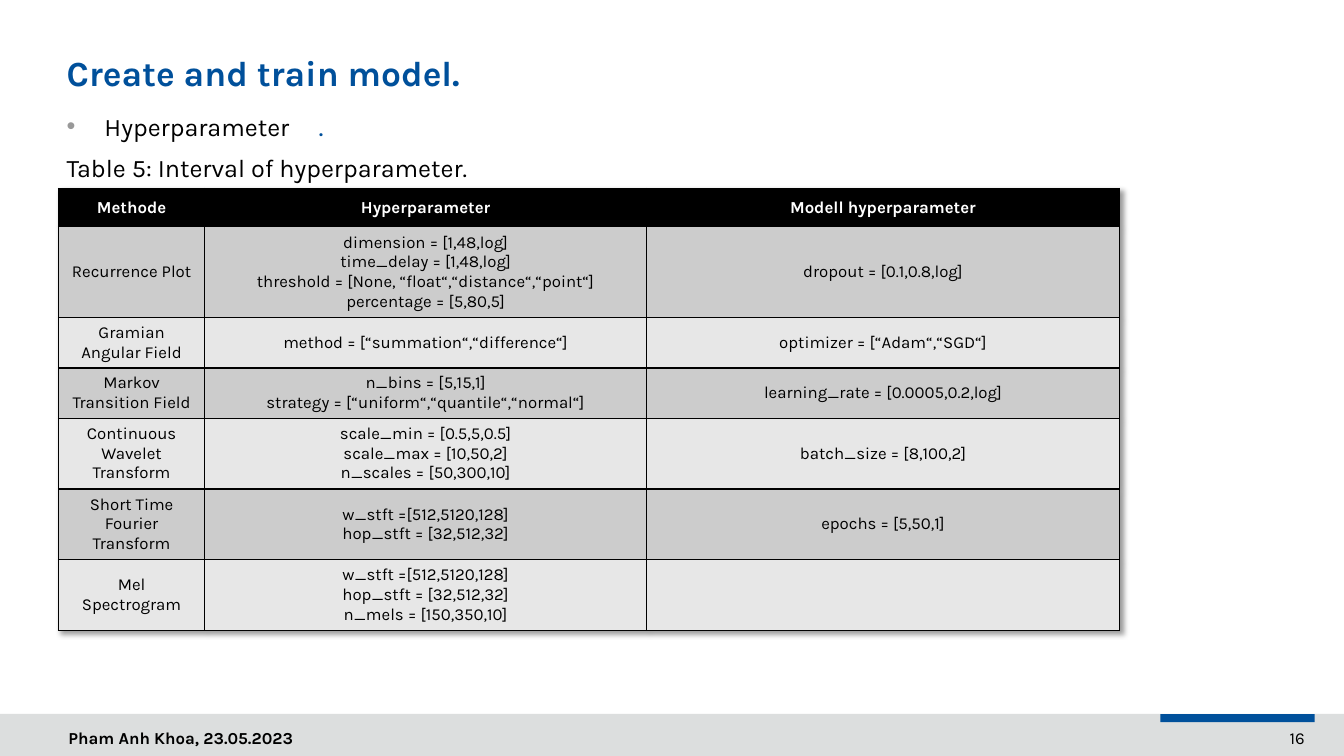
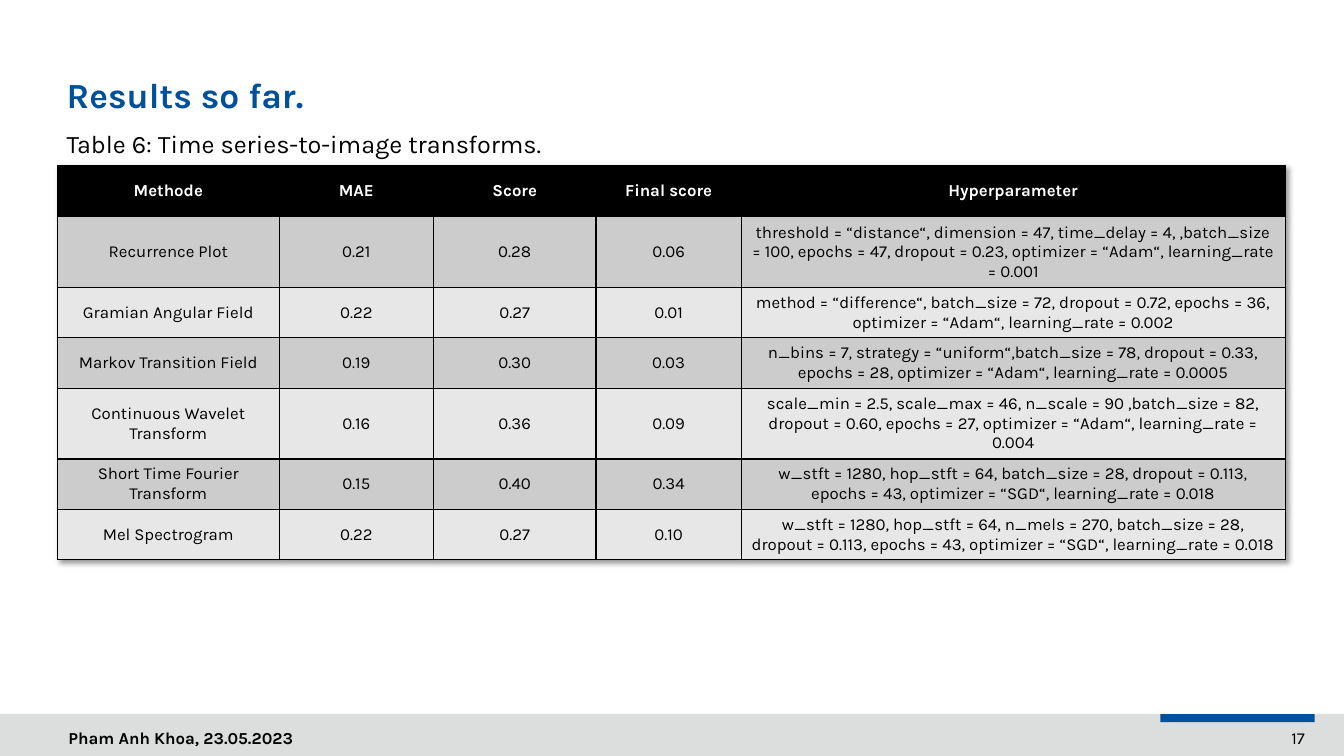
from dataclasses import dataclass

from lxml import etree
from pptx import Presentation
from pptx.dml.color import RGBColor
from pptx.enum.shapes import MSO_SHAPE
from pptx.enum.text import MSO_ANCHOR, MSO_AUTO_SIZE, PP_ALIGN
from pptx.oxml import parse_xml
from pptx.oxml.ns import qn
from pptx.slide import Slide
from pptx.table import _Cell
from pptx.text.text import TextFrame, _Paragraph, _Run
from pptx.util import Pt

RECTANGLE = MSO_SHAPE.RECTANGLE
MIDDLE, BOTTOM = MSO_ANCHOR.MIDDLE, MSO_ANCHOR.BOTTOM
LEFT, CENTER, RIGHT = PP_ALIGN.LEFT, PP_ALIGN.CENTER, PP_ALIGN.RIGHT
NO_AUTOFIT = MSO_AUTO_SIZE.NONE
DRAWING_NS = "http://schemas.openxmlformats.org/drawingml/2006/main"


@dataclass(frozen=True)
class Theme:
    font: str = "Karla"
    blue: str = "00509B"
    black: str = "000000"
    white: str = "FFFFFF"
    band: str = "DCDEDE"
    bullet: str = "999999"
    row_fills: tuple[str, str] = ("CCCCCC", "E7E7E7")
    title_size: float = 25.2
    body_size: float = 18
    dot_size: float = 20
    small_size: float = 12
    line_spacing: float = 0.9
    paragraph_gap: float = 10


THEME = Theme()
SLIDE_WIDTH, SLIDE_HEIGHT = 960, 540
MARGIN = 41.8
BODY_WIDTH = 852
BAND_TOP = 510
FOOTER_TOP, FOOTER_HEIGHT = 516.2, 23.8
FOOTER_RIGHT = 939
LINE_HEIGHT, CELL_PADDING = 14.03, 7.2
FOOTER = "Pham Anh Khoa, 23.05.2023"


@dataclass(frozen=True)
class Box:
    left: float
    top: float
    width: float
    height: float

    def lengths(self) -> tuple[Pt, Pt, Pt, Pt]:
        return Pt(self.left), Pt(self.top), Pt(self.width), Pt(self.height)


@dataclass(frozen=True)
class TableRow:
    lines: int
    texts: tuple[str, ...]


@dataclass(frozen=True)
class TableData:
    left: float
    top: float
    column_widths: tuple[float, ...]
    header_height: float
    header: tuple[str, ...]
    rows: tuple[TableRow, ...]


@dataclass(frozen=True)
class Page:
    number: int
    title: str
    title_top: float
    bullet: str
    caption: str
    body_top: float
    body_height: float
    table: TableData


PAGES = (
    Page(
        16, "Create and train model.", 39, "Hyperparameter",
        "Table 5: Interval of hyperparameter.", 76.3, 427,
        TableData(
            MARGIN, 134.6, (104.4, 315.7, 337.8), 27.4,
            ("Methode", "Hyperparameter", "Modell hyperparameter"),
            (
                TableRow(4, (
                    "Recurrence Plot",
                    "dimension = [1,48,log]\ntime_delay = [1,48,log]\n"
                    "threshold = [None, “float“,“distance“,“point“]\n"
                    "percentage = [5,80,5]",
                    "dropout = [0.1,0.8,log]")),
                TableRow(2, (
                    "Gramian Angular Field",
                    "method = [“summation“,“difference“]",
                    "optimizer = [“Adam“,“SGD“]")),
                TableRow(2, (
                    "Markov Transition Field",
                    "n_bins = [5,15,1]\n"
                    "strategy = [“uniform“,“quantile“,“normal“]",
                    "learning_rate = [0.0005,0.2,log]")),
                TableRow(3, (
                    "Continuous Wavelet Transform",
                    "scale_min = [0.5,5,0.5]\nscale_max = [10,50,2]\n"
                    "n_scales = [50,300,10]",
                    "batch_size = [8,100,2]")),
                TableRow(3, (
                    "Short Time Fourier Transform",
                    "w_stft =[512,5120,128]\nhop_stft = [32,512,32]",
                    "epochs = [5,50,1]")),
                TableRow(3, (
                    "Mel Spectrogram",
                    "w_stft =[512,5120,128]\nhop_stft = [32,512,32]\n"
                    "n_mels = [150,350,10]",
                    "")),
            ),
        ),
    ),
    Page(
        17, "Results so far.", 55, "",
        "Table 6: Time series-to-image transforms.", 90.7, 390,
        TableData(
            41, 118.2, (158.5, 110.1, 116.2, 103.7, 388.5), 36.7,
            ("Methode", "MAE", "Score", "Final score", "Hyperparameter"),
            (
                TableRow(3, (
                    "Recurrence Plot", "0.21", "0.28", "0.06",
                    "threshold = “distance“, dimension = 47, time_delay = 4, "
                    ",batch_size = 100, epochs = 47, dropout = 0.23, "
                    "optimizer = “Adam“, learning_rate = 0.001")),
                TableRow(2, (
                    "Gramian Angular Field", "0.22", "0.27", "0.01",
                    "method = “difference“, batch_size = 72, dropout = 0.72, "
                    "epochs = 36, optimizer = “Adam“, learning_rate = 0.002")),
                TableRow(2, (
                    "Markov Transition Field", "0.19", "0.30", "0.03",
                    "n_bins = 7, strategy = “uniform“,batch_size = 78, "
                    "dropout = 0.33, epochs = 28, optimizer = “Adam“, "
                    "learning_rate = 0.0005")),
                TableRow(3, (
                    "Continuous Wavelet Transform", "0.16", "0.36", "0.09",
                    "scale_min = 2.5, scale_max = 46, n_scale = 90 "
                    ",batch_size = 82, dropout = 0.60, epochs = 27, "
                    "optimizer = “Adam“, learning_rate = 0.004")),
                TableRow(2, (
                    "Short Time Fourier Transform", "0.15", "0.40", "0.34",
                    "w_stft = 1280, hop_stft = 64, batch_size = 28, "
                    "dropout = 0.113, epochs = 43, optimizer = “SGD“, "
                    "learning_rate = 0.018")),
                TableRow(2, (
                    "Mel Spectrogram", "0.22", "0.27", "0.10",
                    "w_stft = 1280, hop_stft = 64, n_mels = 270, "
                    "batch_size = 28, dropout = 0.113, epochs = 43, "
                    "optimizer = “SGD“, learning_rate = 0.018")),
            ),
        ),
    ),
)


def color(value: str) -> RGBColor:
    return RGBColor.from_string(value)


def style_run(run: _Run, size: float, ink: str = THEME.black, bold: bool = False) -> None:
    run.font.name = THEME.font
    run.font.size = Pt(size)
    run.font.bold = bold
    run.font.color.rgb = color(ink)


def style_text(frame: TextFrame, size: float, ink: str = THEME.black,
               bold: bool = False, align: PP_ALIGN = LEFT) -> None:
    for paragraph in frame.paragraphs:
        paragraph.alignment = align
        for run in paragraph.runs:
            style_run(run, size, ink, bold)


def set_bullet(paragraph: _Paragraph, character: str = "") -> None:
    """Give the paragraph a hanging bullet, or none when character is empty."""
    properties = paragraph._p.get_or_add_pPr()
    indent = Pt(27) if character else 0
    properties.set("marL", str(indent))
    properties.set("indent", str(-indent))
    if character:
        bullet_color = etree.SubElement(properties, qn("a:buClr"))
        etree.SubElement(bullet_color, qn("a:srgbClr"), val=THEME.bullet)
        etree.SubElement(properties, qn("a:buChar"), char=character)
    else:
        etree.SubElement(properties, qn("a:buNone"))


def place_placeholder(shape, box: Box, bottom_inset: float) -> TextFrame:
    shape.left, shape.top, shape.width, shape.height = box.lengths()
    frame = shape.text_frame
    frame.auto_size = NO_AUTOFIT
    frame.word_wrap = True
    frame.margin_left, frame.margin_right = Pt(5.8), Pt(7.2)
    frame.margin_top, frame.margin_bottom = Pt(3.6), Pt(bottom_inset)
    return frame


def add_title(slide: Slide, page: Page) -> None:
    frame = place_placeholder(slide.shapes.title, Box(MARGIN, page.title_top, BODY_WIDTH, 28), 0)
    frame.vertical_anchor = BOTTOM
    frame.text = page.title
    frame.paragraphs[0].line_spacing = THEME.line_spacing
    style_text(frame, THEME.title_size, THEME.blue, bold=True)


def add_body(slide: Slide, page: Page) -> None:
    box = Box(MARGIN, page.body_top, BODY_WIDTH, page.body_height)
    frame = place_placeholder(slide.placeholders[1], box, 3.6)
    frame.text = "\n".join(filter(None, (page.bullet, page.caption)))
    style_text(frame, THEME.body_size)
    for index, paragraph in enumerate(frame.paragraphs):
        set_bullet(paragraph, "•" if paragraph.text == page.bullet else "")
        paragraph.line_spacing = THEME.line_spacing
        paragraph.space_before = Pt(THEME.paragraph_gap if index else 0)
    if page.bullet:
        dot = frame.paragraphs[0].add_run()
        dot.text = "\t.\t"
        style_run(dot, THEME.dot_size, THEME.blue)


def add_rectangle(slide: Slide, box: Box, fill: str) -> None:
    shape = slide.shapes.add_shape(RECTANGLE, *box.lengths())
    shape.shadow.inherit = False
    shape.fill.solid()
    shape.fill.fore_color.rgb = color(fill)
    shape.line.fill.background()


def add_small_text(slide: Slide, box: Box, text: str, bold: bool, align: PP_ALIGN) -> None:
    frame = slide.shapes.add_textbox(*box.lengths()).text_frame
    frame.word_wrap = True
    frame.text = text
    style_text(frame, THEME.small_size, bold=bold, align=align)


def add_footer(slide: Slide, number: int) -> None:
    add_rectangle(slide, Box(0, BAND_TOP, SLIDE_WIDTH, SLIDE_HEIGHT - BAND_TOP), THEME.band)
    add_rectangle(slide, Box(FOOTER_RIGHT - 110.2, BAND_TOP, 110.2, 5.8), THEME.blue)
    add_small_text(slide, Box(MARGIN, FOOTER_TOP, 525.6, FOOTER_HEIGHT), FOOTER, True, LEFT)
    add_small_text(slide, Box(FOOTER_RIGHT - 140.4, FOOTER_TOP, 140.4, FOOTER_HEIGHT),
                   str(number), False, RIGHT)


def fill_cell(cell: _Cell, text: str, fill: str, is_header: bool) -> None:
    properties = cell._tc.get_or_add_tcPr()
    for side in ("a:lnL", "a:lnR", "a:lnT", "a:lnB"):
        border = etree.SubElement(properties, qn(side), w=str(Pt(1)))
        paint = etree.SubElement(border, qn("a:solidFill"))
        etree.SubElement(paint, qn("a:srgbClr"), val=THEME.black)
    cell.fill.solid()
    cell.fill.fore_color.rgb = color(fill)
    cell.vertical_anchor = MIDDLE
    cell.text_frame.text = text
    ink = THEME.white if is_header else THEME.black
    style_text(cell.text_frame, THEME.small_size, ink, is_header, CENTER)


def add_data_table(slide: Slide, data: TableData) -> None:
    heights = [data.header_height]
    heights += [row.lines * LINE_HEIGHT + CELL_PADDING for row in data.rows]
    box = Box(data.left, data.top, sum(data.column_widths), sum(heights))
    frame = slide.shapes.add_table(len(heights), len(data.header), *box.lengths())
    table = frame.table
    table._tbl.tblPr.append(parse_xml(
        f'<a:effectLst xmlns:a="{DRAWING_NS}"><a:outerShdw blurRad="50800" dist="38100" '
        f'dir="2700000" algn="tl" rotWithShape="0"><a:srgbClr val="{THEME.black}">'
        '<a:alpha val="40000"/></a:srgbClr></a:outerShdw></a:effectLst>'))
    for column, width in zip(table.columns, data.column_widths):
        column.width = Pt(width)
    contents = (data.header, *(row.texts for row in data.rows))
    for index, (texts, height) in enumerate(zip(contents, heights)):
        table.rows[index].height = Pt(height)
        fill = THEME.row_fills[(index - 1) % 2] if index else THEME.black
        for cell, text in zip(table.rows[index].cells, texts):
            fill_cell(cell, text, fill, index == 0)


def main() -> None:
    deck = Presentation()
    deck.slide_width, deck.slide_height = Pt(SLIDE_WIDTH), Pt(SLIDE_HEIGHT)
    for page in PAGES:
        slide = deck.slides.add_slide(deck.slide_layouts[1])
        add_footer(slide, page.number)
        add_title(slide, page)
        add_body(slide, page)
        add_data_table(slide, page.table)
    deck.save("out.pptx")


if __name__ == "__main__":
    main()
